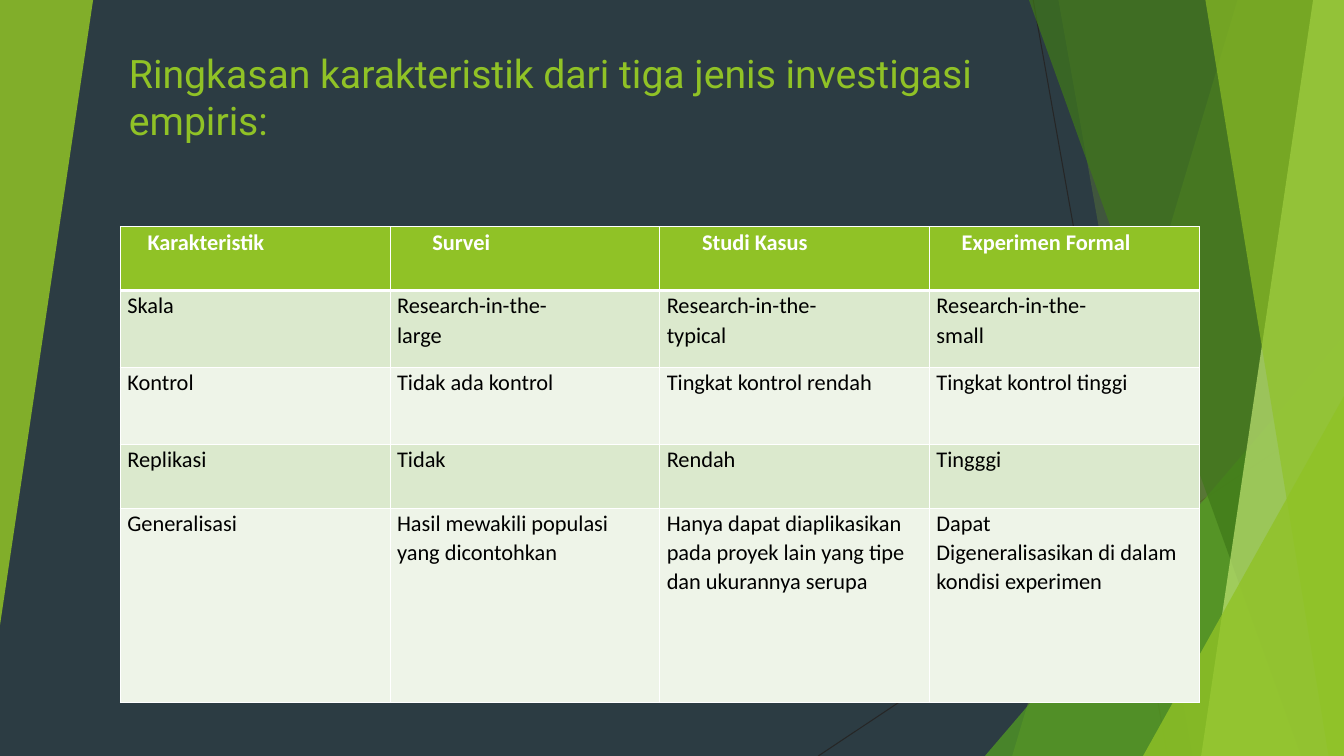
from dataclasses import dataclass

from lxml import etree
from pptx import Presentation
from pptx.dml.color import RGBColor
from pptx.enum.shapes import MSO_CONNECTOR, MSO_SHAPE
from pptx.enum.text import MSO_ANCHOR
from pptx.oxml.ns import qn
from pptx.util import Pt

TRIANGLE = MSO_SHAPE.ISOSCELES_TRIANGLE
STRAIGHT = MSO_CONNECTOR.STRAIGHT
BOTTOM = MSO_ANCHOR.BOTTOM
TOP = MSO_ANCHOR.TOP
WIDTH, HEIGHT = 960, 540
COLORS = {
    "back": "2C3C43", "ray": "262626", "lime": "90C226", "green": "54A021",
    "forest": "3F7819", "pale": "C0E474", "white": "FFFFFF", "black": "000000",
    "odd": "DBE9CD", "even": "EEF4E8",
}


@dataclass
class Ray:
    x1: float
    y1: float
    x2: float
    y2: float


@dataclass
class Panel:
    top_x: float
    bottom_x: float
    color: str
    alpha: int


@dataclass
class Corner:
    left: float
    top: float
    width: float
    height: float
    color: str
    alpha: int
    rotation: int = 0


RAYS = [Ray(738, 0, 834, HEIGHT), Ray(WIDTH, 290, 584.5, HEIGHT)]
FACETS = [
    Panel(884, 723, "lime", 30),
    Panel(756, 852, "lime", 20),
    Corner(703.5, 240, 256.5, 300, "green", 72),
    Panel(735, 929.5, "forest", 70),
    Panel(938, 858, "pale", 70),
    Panel(861, 949, "lime", 65),
    Corner(816.5, 283, 143.5, 257, "lime", 80),
    Corner(0, 0, 66.5, 446.5, "lime", 85, 180),
]
TITLE = "Ringkasan karakteristik dari tiga jenis investigasi empiris:"
HEADER_INDENTS = [14.4, 25.2, 25.2, 18]
ROW_HEIGHTS = [45.5, 55, 55, 45.5, 139]
COLUMN_WIDTH = 192.65
ROWS = [
    ["Karakteristik", "Survei", "Studi Kasus", "Experimen Formal"],
    ["Skala", "Research-in-the-\nlarge", "Research-in-the-\ntypical",
     "Research-in-the-\nsmall"],
    ["Kontrol", "Tidak ada kontrol", "Tingkat kontrol rendah",
     "Tingkat kontrol tinggi"],
    ["Replikasi", "Tidak", "Rendah", "Tingggi"],
    ["Generalisasi", "Hasil mewakili populasi yang dicontohkan",
     "Hanya dapat diaplikasikan pada proyek lain yang tipe dan ukurannya serupa",
     "Dapat\nDigeneralisasikan di dalam kondisi experimen"],
]


def rgb(color: str) -> RGBColor:
    return RGBColor.from_string(COLORS[color])


def add_ray(shapes, ray: Ray) -> None:
    sp = shapes.add_connector(STRAIGHT, Pt(ray.x1), Pt(ray.y1), Pt(ray.x2), Pt(ray.y2))
    sp.line.color.rgb = rgb("ray")
    sp.line.width = Pt(0.75)
    etree.SubElement(sp.element.spPr, qn("a:effectLst"))


def paint(sp, color: str, alpha: int) -> None:
    sp.shadow.inherit = False
    sp.line.fill.background()
    sp.fill.solid()
    sp.fill.fore_color.rgb = rgb(color)
    clr = sp.element.spPr.find(qn("a:solidFill")).find(qn("a:srgbClr"))
    etree.SubElement(clr, qn("a:alpha"), val=str(alpha * 1000))


def add_panel(shapes, panel: Panel) -> None:
    builder = shapes.build_freeform(Pt(panel.top_x), 0)
    corners = [(WIDTH, 0), (WIDTH, HEIGHT), (panel.bottom_x, HEIGHT)]
    builder.add_line_segments([(Pt(x), Pt(y)) for x, y in corners])
    paint(builder.convert_to_shape(), panel.color, panel.alpha)


def add_corner(shapes, corner: Corner) -> None:
    sp = shapes.add_shape(TRIANGLE, Pt(corner.left), Pt(corner.top),
                          Pt(corner.width), Pt(corner.height))
    sp.adjustments[0] = 1
    sp.rotation = corner.rotation
    paint(sp, corner.color, corner.alpha)


def write(tf, text: str, *, font: str, size: float, color: str, bold: bool = False,
          spacing: float = 1.0, indent: float = 0) -> None:
    for i, line in enumerate(text.split("\n")):
        p = tf.add_paragraph() if i else tf.paragraphs[0]
        p.line_spacing = spacing
        if indent:
            p._p.get_or_add_pPr().set("marL", str(Pt(indent)))
        r = p.add_run()
        r.text = line
        r.font.name = font
        r.font.size = Pt(size)
        r.font.bold = bold
        r.font.color.rgb = rgb(color)


def add_border(cell, side: str, width: float) -> None:
    ln = etree.SubElement(cell._tc.get_or_add_tcPr(), qn(f"a:ln{side}"), w=str(Pt(width)))
    fill = etree.SubElement(ln, qn("a:solidFill"))
    etree.SubElement(fill, qn("a:srgbClr"), val=COLORS["white"])


def format_cell(cell, text: str, row: int, col: int) -> None:
    header = row == 0
    cell.margin_left = cell.margin_right = Pt(5)
    cell.margin_top = cell.margin_bottom = 0
    cell.vertical_anchor = TOP
    widths = {"L": 1, "R": 1, "T": 3 if row == 1 else 1, "B": 3 if header else 1}
    for side, width in widths.items():
        add_border(cell, side, width)
    cell.fill.solid()
    cell.fill.fore_color.rgb = rgb("lime" if header else "odd" if row % 2 else "even")
    write(cell.text_frame, text, font="Calibri", size=16, bold=header, spacing=1.07,
          color="white" if header else "black",
          indent=HEADER_INDENTS[col] if header else 0)


def add_summary(shapes) -> None:
    cols = len(ROWS[0])
    table = shapes.add_table(len(ROWS), cols, Pt(86), Pt(162),
                             Pt(COLUMN_WIDTH * cols), Pt(sum(ROW_HEIGHTS))).table
    for column in table.columns:
        column.width = Pt(COLUMN_WIDTH)
    for i, (height, texts) in enumerate(zip(ROW_HEIGHTS, ROWS)):
        table.rows[i].height = Pt(height)
        for j, text in enumerate(texts):
            format_cell(table.cell(i, j), text, i, j)


prs = Presentation()
prs.slide_width, prs.slide_height = Pt(WIDTH), Pt(HEIGHT)
s = prs.slides.add_slide(prs.slide_layouts[6])
s.background.fill.solid()
s.background.fill.fore_color.rgb = rgb("back")

for ray in RAYS:
    add_ray(s.shapes, ray)
for facet in FACETS:
    if isinstance(facet, Panel):
        add_panel(s.shapes, facet)
    else:
        add_corner(s.shapes, facet)

title = s.shapes.add_textbox(Pt(85), Pt(34.5), Pt(680.5), Pt(71.5))
tf = title.text_frame
tf.word_wrap = True
tf.vertical_anchor = BOTTOM
write(tf, TITLE, font="Roboto", size=28, color="lime")
add_summary(s.shapes)

prs.save("out.pptx")
